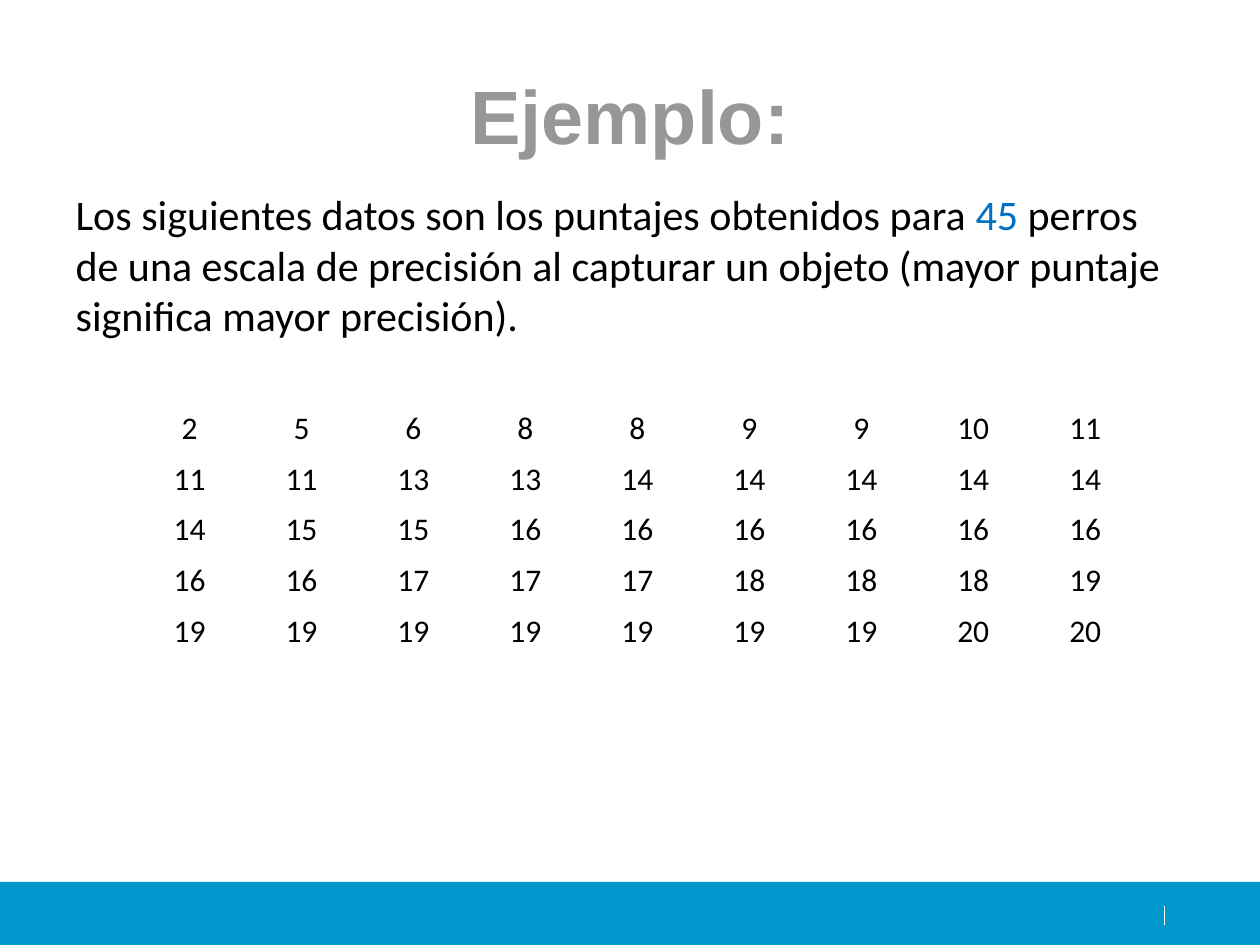
from pptx import Presentation
from pptx.dml.color import RGBColor
from pptx.enum import shapes, text
from pptx.oxml.ns import qn
from pptx.util import Inches, Pt

BLUE = RGBColor(0x00, 0x97, 0xCD)
LINK = RGBColor(0x00, 0x70, 0xC0)
GREY = RGBColor(0x97, 0x97, 0x97)
BLACK = RGBColor(0, 0, 0)
WHITE = RGBColor(255, 255, 255)

TITLE = [("Ejemplo:", GREY)]
INTRO = [
    ("Los siguientes datos son los puntajes obtenidos para ", BLACK),
    ("45", LINK),
    (" perros de una escala de precisión al capturar un objeto "
     "(mayor puntaje significa mayor precisión). ", BLACK),
]
SCORES = [
    [2, 5, 6, 8, 8, 9, 9, 10, 11],
    [11, 11, 13, 13, 14, 14, 14, 14, 14],
    [14, 15, 15, 16, 16, 16, 16, 16, 16],
    [16, 16, 17, 17, 17, 18, 18, 18, 19],
    [19, 19, 19, 19, 19, 19, 19, 20, 20],
]
WIDTH, HEIGHT = 8, 2.01


def write(para, runs, align, **font):
    """Fill a paragraph with coloured runs in one font."""
    para.alignment = align
    for words, color in runs:
        run = para.add_run()
        run.text = words
        run.font.color.rgb = color
        for key, value in font.items():
            setattr(run.font, key, value)


def add_text(slide, box, anchor, runs, align, **font):
    """Add a wrapped text box without margins and return its paragraph."""
    frame = slide.shapes.add_textbox(*map(Inches, box)).text_frame
    frame.word_wrap = True
    frame.vertical_anchor = anchor
    for side in ("left", "top", "right", "bottom"):
        setattr(frame, "margin_" + side, 0)
    write(frame.paragraphs[0], runs, align, **font)
    return frame.paragraphs[0]


def add_footer(slide):
    """Draw the blue band and its thin white mark."""
    band = slide.shapes.add_shape(
        shapes.MSO_SHAPE.RECTANGLE, *map(Inches, (0, 7, 10, 0.5)))
    band.shadow.inherit = False
    band.fill.solid()
    band.fill.fore_color.rgb = BLUE
    band.line.fill.background()
    mark = slide.shapes.add_connector(
        shapes.MSO_CONNECTOR.STRAIGHT, *map(Inches, (9.24, 7.34, 9.24, 7.19)))
    mark.line.color.rgb = WHITE
    mark.line.width = Pt(0.75)
    props = mark.element.spPr
    props.append(props.makeelement(qn("a:effectLst"), {}))


def add_scores(slide):
    """Add the plain table of scores with equal rows and columns."""
    rows, cols = len(SCORES), len(SCORES[0])
    table = slide.shapes.add_table(
        rows, cols, *map(Inches, (1.06, 3.2, WIDTH, HEIGHT))).table
    table.first_row = table.horz_banding = False
    for col in table.columns:
        col.width = Inches(WIDTH / cols)
    for row, scores in zip(table.rows, SCORES):
        row.height = Inches(HEIGHT / rows)
        for cell, score in zip(row.cells, scores):
            cell.fill.background()
            cell.vertical_anchor = text.MSO_ANCHOR.MIDDLE
            write(cell.text_frame.paragraphs[0], [(str(score), BLACK)],
                  text.PP_ALIGN.CENTER, name="Calibri", size=Pt(18), bold=False)


deck = Presentation()
deck.slide_width, deck.slide_height = Inches(10), Inches(7.5)
slide = deck.slides.add_slide(deck.slide_layouts[6])
add_footer(slide)
add_text(slide, (0.75, 0.52, 8.5, 0.75), text.MSO_ANCHOR.BOTTOM, TITLE,
         text.PP_ALIGN.CENTER, name="Arial", size=Pt(43.2), bold=True)
intro = add_text(slide, (0.6, 1.5, 8.81, 0.34), text.MSO_ANCHOR.TOP, INTRO,
                 text.PP_ALIGN.LEFT, name="Calibri", size=Pt(24))
intro.space_after = Pt(6)
add_scores(slide)
deck.save("out.pptx")
